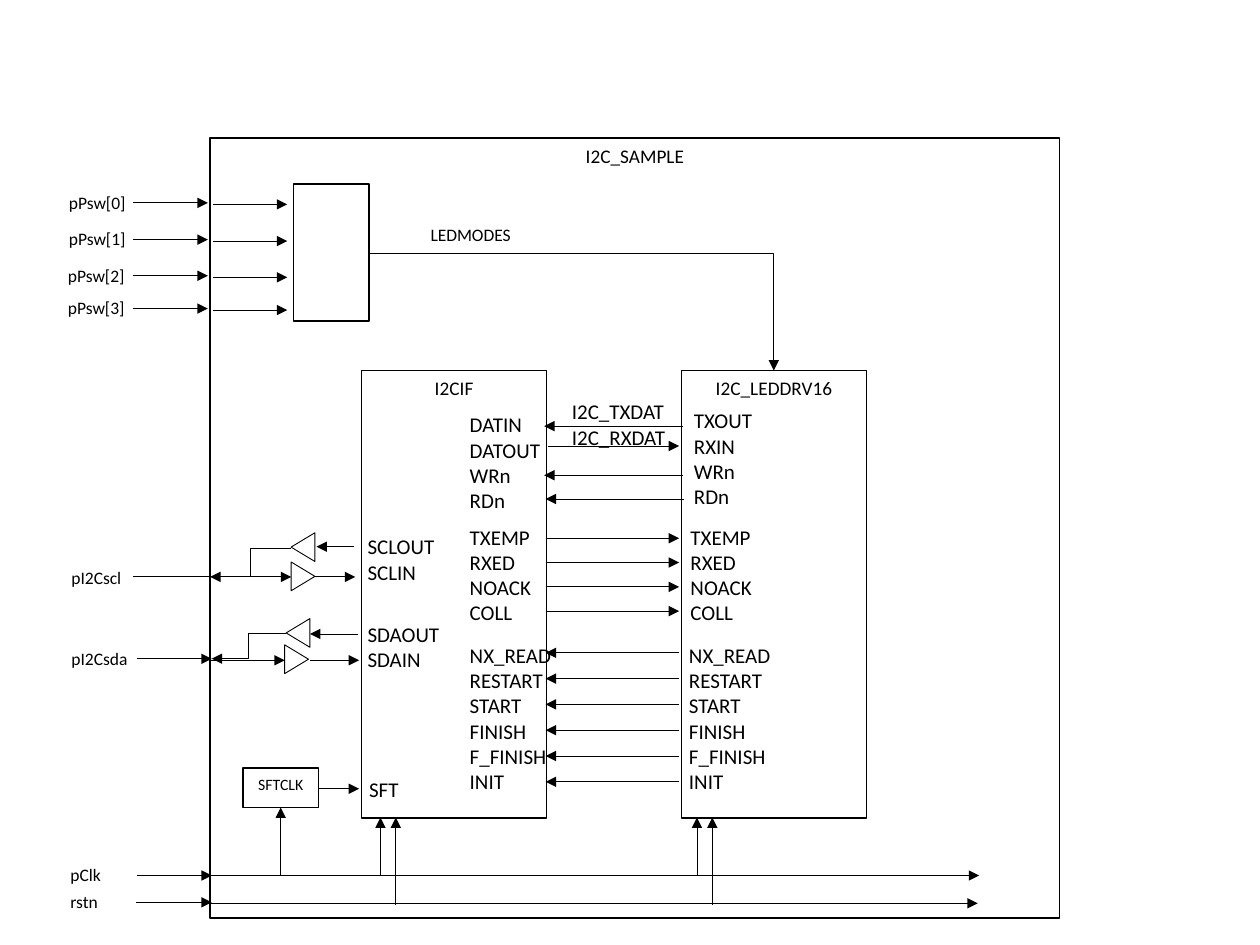
from pptx import Presentation
from pptx.dml.color import RGBColor
from pptx.enum import shapes, text
from pptx.oxml import ns
from pptx.util import Cm, Pt
from lxml import etree

BLACK = RGBColor(0, 0, 0)
FONT = {"name": "Calibri"}
STRAIGHT = shapes.MSO_CONNECTOR.STRAIGHT
ELBOW = shapes.MSO_CONNECTOR.ELBOW

prs = Presentation()
prs.slide_width, prs.slide_height = Cm(25.4), Cm(19.05)
s = prs.slides.add_slide(prs.slide_layouts[6])


def wire(x1, y1, x2, y2, kind=STRAIGHT, arrow=True, corner=False):
    """Draw a thin black connector, with an arrowhead at its end if asked."""
    c = s.shapes.add_connector(kind, Cm(x1), Cm(y1), Cm(x2), Cm(y2))
    c.line.color.rgb = BLACK
    c.line.width = Pt(0.5)
    sp_pr = c.element.spPr
    if arrow:
        ln = sp_pr.find(ns.qn("a:ln"))
        etree.SubElement(ln, ns.qn("a:tailEnd")).set("type", "triangle")
    if corner:
        sp_pr.find(ns.qn("a:prstGeom")).set("prst", "bentConnector2")
    etree.SubElement(sp_pr, ns.qn("a:effectLst"))


def label(x, y, w, lines, size=12):
    """Place a left-aligned text box with one paragraph per line."""
    h = 0.25 + len(lines) * size * 0.043
    tf = s.shapes.add_textbox(Cm(x), Cm(y), Cm(w), Cm(h)).text_frame
    tf.word_wrap = False
    tf.auto_size = text.MSO_AUTO_SIZE.SHAPE_TO_FIT_TEXT
    for i, line in enumerate(lines):
        p = tf.paragraphs[0] if i == 0 else tf.add_paragraph()
        r = p.add_run()
        r.text = line
        for key, value in {**FONT, "size": Pt(size)}.items():
            setattr(r.font, key, value)
        r.font.color.rgb = BLACK


# Blocks: left, top, width, height, name, text size
blocks = [
    (4.24, 2.79, 17.12, 15.72, "I2C_SAMPLE", 11),
    (7.29, 7.47, 3.73, 9.02, "I2CIF", 11),
    (13.74, 7.47, 3.73, 9.02, "I2C_LEDDRV16", 11),
    (4.9, 15.49, 1.52, 0.79, "SFTCLK", 9),
    (5.92, 3.71, 1.52, 2.77, "", 11),
]
for x, y, w, h, name, size in blocks:
    sp = s.shapes.add_shape(shapes.MSO_SHAPE.RECTANGLE, Cm(x), Cm(y), Cm(w), Cm(h))
    sp.shadow.inherit = False
    sp.fill.background()
    sp.line.color.rgb = BLACK
    sp.line.width = Pt(1)
    if name:
        tf = sp.text_frame
        tf.vertical_anchor = text.MSO_ANCHOR.TOP
        # Names stay on one line even where the block is narrow
        tf.word_wrap = False
        p = tf.paragraphs[0]
        p.alignment = text.PP_ALIGN.CENTER
        r = p.add_run()
        r.text = name
        for key, value in {**FONT, "size": Pt(size)}.items():
            setattr(r.font, key, value)
        r.font.color.rgb = BLACK

# Push switch inputs
for i, (x, y) in enumerate([(1.14, 4.09), (1.14, 4.83), (1.12, 5.56), (1.12, 6.22)]):
    label(x, y - 0.35, 1.68, [f"pPsw[{i}]"], 10)
    wire(2.69, y, 4.19, y)
    wire(4.29, y + 0.03, 5.79, y + 0.03)

# Other pins: label position and width, then the wire to the outer block
pins = [
    ("pI2Cscl", 1.19, 11.3, 1.52, 2.69, 11.63, False),
    ("pI2Csda", 1.19, 12.93, 1.65, 2.77, 13.28, True),
    ("pClk", 1.17, 17.3, 1.14, 2.77, 17.65, True),
    ("rstn", 1.17, 17.83, 1.09, 2.74, 18.19, True),
]
for name, x, y, w, wire_x, wire_y, arrow in pins:
    label(x, y, w, [name], 10)
    wire(wire_x, wire_y, 4.27, wire_y, arrow=arrow)

# Bus buffers: left, top, points to the left
buffers = [
    (5.87, 11.33, False),
    (5.87, 10.74, True),
    (5.74, 13.0, False),
    (5.77, 12.47, True),
]
for x, y, flipped in buffers:
    sp = s.shapes.add_shape(shapes.MSO_SHAPE.PENTAGON, Cm(x), Cm(y), Cm(0.48), Cm(0.58))
    sp.adjustments[0] = 1
    sp.shadow.inherit = False
    sp.fill.background()
    sp.line.color.rgb = BLACK
    sp.line.width = Pt(0.5)
    if flipped:
        sp.element.spPr.find(ns.qn("a:xfrm")).set("flipH", "1")

# Buffer wiring
wire(5.87, 11.05, 4.24, 11.63, ELBOW)
wire(5.77, 12.78, 4.27, 13.28, ELBOW)
buffer_wires = [
    (3.38, 5.87, 11.63), (6.32, 7.16, 11.63), (7.14, 6.38, 11.02),
    (4.22, 5.74, 13.31), (6.25, 7.24, 13.31), (7.21, 6.25, 12.78),
]
for x1, x2, y in buffer_wires:
    wire(x1, y, x2, y)

# Signal names
status = ["TXEMP", "RXED", "NOACK", "COLL"]
commands = ["NX_READ", "RESTART", "START", "FINISH", "F_FINISH", "INIT"]
label(7.16, 10.64, 1.88, ["SCLOUT", "SCLIN"])
label(7.16, 12.4, 1.98, ["SDAOUT", "SDAIN"])
label(7.19, 15.52, 1.12, ["SFT"])
label(9.22, 8.18, 1.96, ["DATIN", "DATOUT", "WRn", "RDn"])
label(13.74, 8.1, 1.7, ["TXOUT", "RXIN", "WRn", "RDn"])
label(11.28, 7.9, 2.39, ["I2C_TXDAT"])
label(11.28, 8.43, 2.41, ["I2C_RXDAT"])
for status_x, command_x in [(9.22, 9.22), (13.67, 13.64)]:
    label(status_x, 10.44, 1.75, status)
    label(command_x, 12.83, 2.18, commands)

# Wires between the two inner blocks
for x1, x2, y in [(13.77, 10.97, 8.59), (11.05, 13.69, 8.99),
                  (13.77, 10.97, 9.58), (13.79, 11.0, 10.06)]:
    wire(x1, y, x2, y)
for i in range(len(status)):
    wire(11.02, 10.85 + 0.49 * i, 13.69, 10.85 + 0.49 * i)
for i in range(len(commands)):
    wire(13.69, 13.16 + 0.52 * i, 11.0, 13.16 + 0.52 * i)

# Clock and reset
wire(4.22, 17.65, 19.74, 17.65)
wire(4.22, 18.21, 19.71, 18.21)
wire(4.19, 17.65, 5.66, 16.28, ELBOW, corner=True)
wire(6.43, 15.9, 7.24, 15.9)
for x in (7.67, 14.05):
    wire(x, 17.63, x, 16.48)
    wire(x + 0.31, 18.24, x + 0.31, 16.48)

# LED mode selection
label(8.43, 4.39, 2.16, ["LEDMODES"], 10)
wire(7.44, 5.11, 15.6, 7.47, ELBOW, corner=True)

prs.save("out.pptx")
